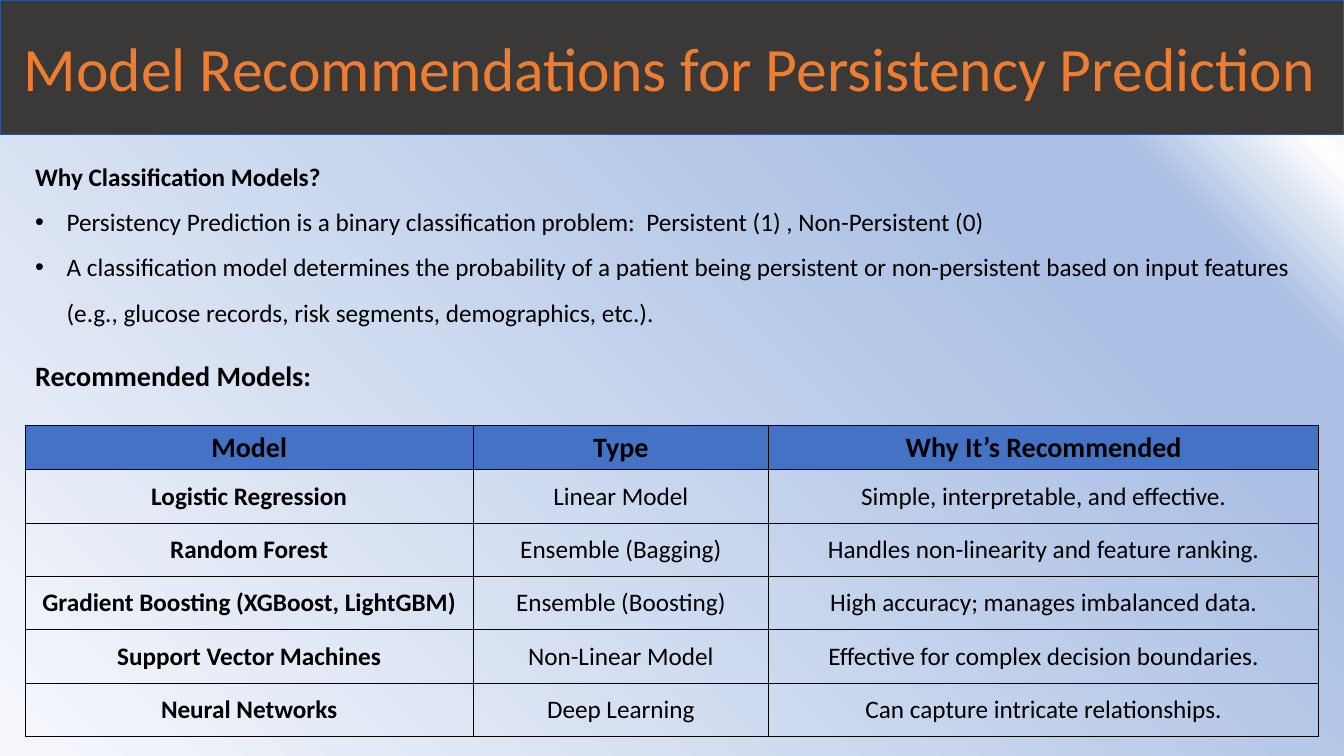
from dataclasses import dataclass

from lxml.etree import SubElement
from pptx import Presentation
from pptx.dml.color import RGBColor
from pptx.enum.text import MSO_ANCHOR, MSO_AUTO_SIZE, PP_ALIGN
from pptx.oxml.ns import qn
from pptx.util import Pt


@dataclass(frozen=True)
class Theme:
    font: str = "Calibri"
    title_size: int = 44
    heading_size: int = 20
    body_size: int = 18
    text: str = "000000"
    accent: str = "ED7D31"
    banner: str = "3B3838"
    banner_line: str = "325491"
    header: str = "4472C4"
    gradient: tuple = ((0, "F6F8FC"), (74, "ABC0E4"), (83, "ABC0E4"),
                       (92, "FFFFFF"), (100, "C7D5ED"))
    gradient_angle: int = 45


def apply_format(target, values):
    for name, value in values.items():
        setattr(target, name, value)


class SlideBuilder:
    def __init__(self, slide, theme):
        self.slide = slide
        self.theme = theme

    def add_text(self, paragraph, text, size, color=None, bold=False, **layout):
        run = paragraph.add_run()
        run.text = text
        apply_format(run.font, {"name": self.theme.font, "size": Pt(size), "bold": bold})
        run.font.color.rgb = RGBColor.from_string(color or self.theme.text)
        apply_format(paragraph, layout)

    def background(self):
        fill = self.slide.background.fill
        fill.gradient()
        fill.gradient_angle = self.theme.gradient_angle
        stops = self.slide.element.find(".//" + qn("a:gsLst"))
        for stop in list(stops):
            stops.remove(stop)
        for percent, color in self.theme.gradient:
            stop = SubElement(stops, qn("a:gs"), pos=str(percent * 1000))
            SubElement(stop, qn("a:srgbClr"), val=color)

    def title(self, text, width, height):
        title = self.slide.shapes.title
        apply_format(title, {"left": 0, "top": 0, "width": Pt(width), "height": Pt(height)})
        title.fill.solid()
        title.fill.fore_color.rgb = RGBColor.from_string(self.theme.banner)
        title.line.color.rgb = RGBColor.from_string(self.theme.banner_line)
        title.line.width = Pt(1)
        apply_format(title.text_frame, {
            "margin_left": Pt(17), "margin_right": 0, "word_wrap": True,
            "auto_size": MSO_AUTO_SIZE.NONE, "vertical_anchor": MSO_ANCHOR.MIDDLE})
        self.add_text(title.text_frame.paragraphs[0], text, self.theme.title_size,
                      self.theme.accent, alignment=PP_ALIGN.LEFT)

    def text_box(self, left, top, width, height):
        box = self.slide.shapes.add_textbox(Pt(left), Pt(top), Pt(width), Pt(height))
        box.text_frame.word_wrap = True
        return box.text_frame

    def bullet(self, frame, text, indent=22.5):
        paragraph = frame.add_paragraph()
        self.add_text(paragraph, text, self.theme.body_size, line_spacing=1.5)
        properties = paragraph._p.get_or_add_pPr()
        properties.set("marL", str(Pt(indent)))
        properties.set("indent", str(-Pt(indent)))
        SubElement(properties, qn("a:buFont"), typeface="Arial")
        SubElement(properties, qn("a:buChar"), char="•")

    def border(self, cell):
        properties = cell._tc.get_or_add_tcPr()
        for side in ("a:lnL", "a:lnR", "a:lnT", "a:lnB"):
            line = SubElement(properties, qn(side), w=str(Pt(1)))
            fill = SubElement(line, qn("a:solidFill"))
            SubElement(fill, qn("a:srgbClr"), val=self.theme.text)

    def table(self, rows, left, top, widths, header_height, row_height):
        heights = [header_height] + [row_height] * (len(rows) - 1)
        table = self.slide.shapes.add_table(
            len(rows), len(widths), Pt(left), Pt(top), Pt(sum(widths)), Pt(sum(heights))).table
        apply_format(table, {"first_row": False, "horz_banding": False})
        for column, width in zip(table.columns, widths):
            column.width = Pt(width)
        for row_index, (values, height) in enumerate(zip(rows, heights)):
            table.rows[row_index].height = Pt(height)
            is_header = row_index == 0
            size = self.theme.heading_size if is_header else self.theme.body_size
            for column_index, text in enumerate(values):
                cell = table.cell(row_index, column_index)
                cell.vertical_anchor = MSO_ANCHOR.MIDDLE
                self.border(cell)
                if is_header:
                    cell.fill.solid()
                    cell.fill.fore_color.rgb = RGBColor.from_string(self.theme.header)
                else:
                    cell.fill.background()
                self.add_text(cell.text_frame.paragraphs[0], text, size,
                              bold=is_header or column_index == 0, alignment=PP_ALIGN.CENTER)


MODELS = [
    ("Model", "Type", "Why It’s Recommended"),
    ("Logistic Regression", "Linear Model", "Simple, interpretable, and effective."),
    ("Random Forest", "Ensemble (Bagging)", "Handles non-linearity and feature ranking."),
    ("Gradient Boosting (XGBoost, LightGBM)", "Ensemble (Boosting)",
     "High accuracy; manages imbalanced data."),
    ("Support Vector Machines", "Non-Linear Model", "Effective for complex decision boundaries."),
    ("Neural Networks", "Deep Learning", "Can capture intricate relationships."),
]
REASONS = [
    "Persistency Prediction is a binary classification problem:  "
    "Persistent (1) , Non-Persistent (0)",
    "A classification model determines the probability of a patient being persistent or "
    "non-persistent based on input features (e.g., glucose records, risk segments, "
    "demographics, etc.).",
]


def main():
    presentation = Presentation()
    apply_format(presentation, {"slide_width": Pt(960), "slide_height": Pt(540)})
    theme = Theme()
    slide = presentation.slides.add_slide(presentation.slide_layouts.get_by_name("Title Only"))
    builder = SlideBuilder(slide, theme)

    # Background and title banner
    builder.background()
    builder.title("Model Recommendations for Persistency Prediction", 960, 96)

    # Reasons for classification
    frame = builder.text_box(18, 111.5, 924, 222)
    builder.add_text(frame.paragraphs[0], "Why Classification Models?", theme.body_size, bold=True)
    for reason in REASONS:
        builder.bullet(frame, reason)
    builder.add_text(frame.add_paragraph(), "Recommended Models:", theme.heading_size,
                     bold=True, space_before=Pt(22))

    # Recommended models
    builder.table(MODELS, 18, 304, (320, 211, 393), 31.6, 38.1)

    presentation.save("out.pptx")


if __name__ == "__main__":
    main()
